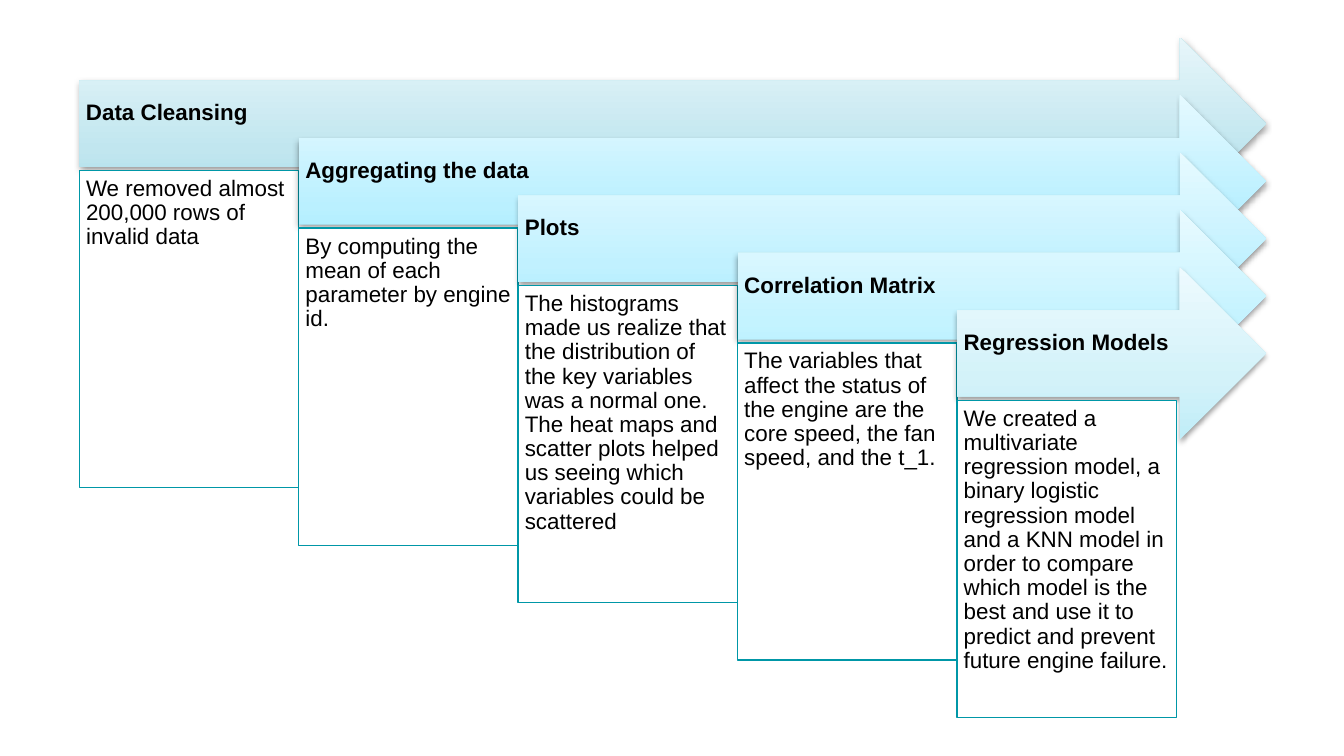
import lxml.etree
import pptx
import pptx.dml.color
import pptx.enum.shapes
import pptx.enum.text
import pptx.oxml.ns
import pptx.util

RGBColor = pptx.dml.color.RGBColor
Inches = pptx.util.Inches
Pt = pptx.util.Pt
MSO_SHAPE = pptx.enum.shapes.MSO_SHAPE
MSO_ANCHOR = pptx.enum.text.MSO_ANCHOR
qn = pptx.oxml.ns.qn

BLACK = RGBColor(0x00, 0x00, 0x00)
WHITE = RGBColor(0xFF, 0xFF, 0xFF)
TEAL = RGBColor(0x00, 0x97, 0xA7)

STEPS = [
    ("Data Cleansing",
     "We removed almost 200,000 rows of invalid data",
     (RGBColor(0xA6, 0xDD, 0xEB), RGBColor(0xC1, 0xE6, 0xEF), RGBColor(0xE7, 0xF6, 0xFA))),
    ("Aggregating the data",
     "By computing the mean of each parameter by engine id.",
     (RGBColor(0x9D, 0xEB, 0xFF), RGBColor(0xBA, 0xF0, 0xFF), RGBColor(0xE5, 0xF9, 0xFF))),
    ("Plots",
     "The histograms made us realize that the distribution of the key variables "
     "was a normal one. The heat maps and scatter plots helped us seeing which "
     "variables could be scattered",
     (RGBColor(0xA8, 0xED, 0xFF), RGBColor(0xC1, 0xF1, 0xFF), RGBColor(0xE7, 0xFA, 0xFF))),
    ("Correlation Matrix",
     "The variables that affect the status of the engine are the core speed, "
     "the fan speed, and the t_1.",
     (RGBColor(0xAC, 0xEF, 0xFF), RGBColor(0xC4, 0xF3, 0xFF), RGBColor(0xE8, 0xFA, 0xFF))),
    ("Regression Models",
     "We created a multivariate regression model, a binary logistic regression "
     "model and a KNN model in order to compare which model is the best and use "
     "it to predict and prevent future engine failure.",
     (RGBColor(0xC0, 0xED, 0xF8), RGBColor(0xD3, 0xF2, 0xF9), RGBColor(0xED, 0xFA, 0xFE))),
]


class Staircase:
    font = "Arial"
    size = Pt(12)
    left, right, top = 0.59, 9.42, 0.28
    col = (7.12 - 0.59) / 4
    row = (1.99 - 0.28) / 4
    arrow_height = 1.28
    box_offset, box_height = 0.99, 2.36
    stops = (0, 35, 100)

    def __init__(self, slide):
        self.slide = slide

    def shape(self, kind, x, y, w, h):
        sp = self.slide.shapes.add_shape(kind, Inches(x), Inches(y), Inches(w), Inches(h))
        sp.shadow.inherit = False
        return sp

    def text(self, sp, text, anchor, right=0.05, bottom=0.05, bold=False):
        tf = sp.text_frame
        tf.word_wrap = True
        tf.vertical_anchor = anchor
        tf.margin_left = tf.margin_top = Inches(0.05)
        tf.margin_right, tf.margin_bottom = Inches(right), Inches(bottom)
        tf.text = text
        p = tf.paragraphs[0]
        p.alignment = pptx.enum.text.PP_ALIGN.LEFT
        p.line_spacing = 0.9
        p.space_after = Pt(4.2)
        f = p.runs[0].font
        f.name, f.size, f.bold = self.font, self.size, bold
        f.color.rgb = BLACK

    def gradient(self, sp, colors):
        sp.fill.gradient()
        sp.fill.gradient_angle = 90
        gs_lst = sp._element.spPr.find(qn("a:gradFill")).find(qn("a:gsLst"))
        for gs in list(gs_lst):
            gs_lst.remove(gs)
        for stop, color in zip(self.stops, colors):
            gs = lxml.etree.SubElement(gs_lst, qn("a:gs"), pos=str(stop * 1000))
            lxml.etree.SubElement(gs, qn("a:srgbClr"), val=str(color))

    def shadow(self, sp):
        effects = sp._element.spPr.find(qn("a:effectLst"))
        outer = lxml.etree.SubElement(
            effects, qn("a:outerShdw"), blurRad=str(Pt(3.1)), dist=str(Pt(1.6)),
            dir="5400000", rotWithShape="0")
        color = lxml.etree.SubElement(outer, qn("a:srgbClr"), val=str(BLACK))
        lxml.etree.SubElement(color, qn("a:alpha"), val="38000")

    def arrow(self, i, title, colors):
        x = self.left + i * self.col
        sp = self.shape(MSO_SHAPE.RIGHT_ARROW, x, self.top + i * self.row,
                        self.right - x, self.arrow_height)
        self.gradient(sp, colors)
        sp.line.fill.background()
        self.shadow(sp)
        self.text(sp, title, MSO_ANCHOR.MIDDLE, right=0.28, bottom=0.2, bold=True)

    def box(self, i, body):
        sp = self.shape(MSO_SHAPE.RECTANGLE, self.left + i * self.col,
                        self.top + i * self.row + self.box_offset,
                        self.col, self.box_height)
        sp.fill.solid()
        sp.fill.fore_color.rgb = WHITE
        sp.line.color.rgb = TEAL
        sp.line.width = Pt(0.75)
        self.text(sp, body, MSO_ANCHOR.TOP)


def main():
    prs = pptx.Presentation()
    prs.slide_width = Inches(10)
    prs.slide_height = prs.slide_width * 9 // 16
    s = Staircase(prs.slides.add_slide(prs.slide_layouts[6]))
    for i, (title, body, colors) in enumerate(STEPS):
        s.arrow(i, title, colors)
        s.box(i, body)
    prs.save("out.pptx")


if __name__ == "__main__":
    main()
